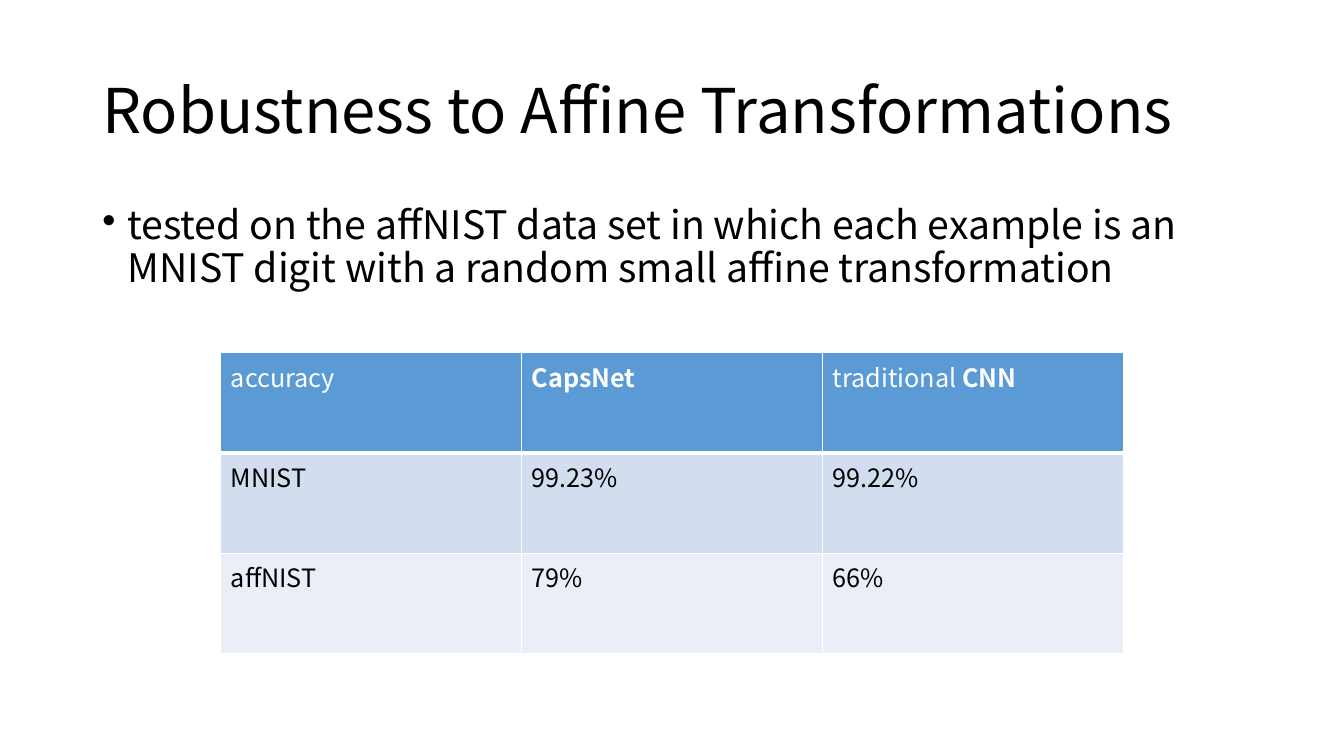
from dataclasses import dataclass

import pptx
import pptx.dml.color
import pptx.enum.text
import pptx.oxml
import pptx.oxml.ns
import pptx.util
from lxml import etree

Pt = pptx.util.Pt
RGB = pptx.dml.color.RGBColor
qn = pptx.oxml.ns.qn


@dataclass(frozen=True)
class Theme:
    font: str = "Noto Sans CJK SC"
    text: str = "000000"
    white: str = "FFFFFF"
    header: str = "5B9BD5"
    bands: tuple[str, ...] = ("D2DEEF", "EAEFF7")
    title_size: int = 44
    body_size: int = 28
    table_size: int = 18
    grid: int = 1
    header_rule: int = 3


@dataclass(frozen=True)
class TextBlock:
    text: str
    top: float
    height: float
    size: int
    anchor: pptx.enum.text.MSO_ANCHOR
    bullet: bool = False


@dataclass(frozen=True)
class Run:
    text: str
    bold: bool = False


THEME = Theme()
MARGIN, BLOCK_WIDTH, INDENT = 66, 828, 18
TABLE_LEFT, TABLE_TOP = 157.7, 252
COLUMN_WIDTH, ROW_HEIGHT = 215, 71.7

BLOCKS = (
    TextBlock("Robustness to Affine Transformations", 28.75, 104.4,
              THEME.title_size, pptx.enum.text.MSO_ANCHOR.MIDDLE),
    TextBlock("tested on the affNIST data set in which each example is an "
              "MNIST digit with a random small affine transformation",
              143.75, 342.6, THEME.body_size, pptx.enum.text.MSO_ANCHOR.TOP, True),
)

ACCURACY = (
    ((Run("accuracy"),), (Run("CapsNet", True),),
     (Run("traditional"), Run(" CNN", True))),
    ((Run("MNIST"),), (Run("99.23%"),), (Run("99.22%"),)),
    ((Run("affNIST"),), (Run("79%"),), (Run("66%"),)),
)


def style_font(p, size: int, color: str) -> None:
    p.font.name = THEME.font
    p.font.size = Pt(size)
    p.font.color.rgb = RGB.from_string(color)


def add_bullet(p) -> None:
    pPr = p._p.get_or_add_pPr()
    pPr.set("marL", str(Pt(INDENT)))
    pPr.set("indent", str(-Pt(INDENT)))
    bullet = etree.Element(qn("a:buChar"), char="•")
    pPr.find(qn("a:defRPr")).addprevious(bullet)


def add_text(s, block: TextBlock) -> None:
    sp = s.shapes.add_textbox(Pt(MARGIN), Pt(block.top), Pt(BLOCK_WIDTH), Pt(block.height))
    tf = sp.text_frame
    tf.word_wrap = True
    tf.auto_size = pptx.enum.text.MSO_AUTO_SIZE.TEXT_TO_FIT_SHAPE
    tf.vertical_anchor = block.anchor
    p = tf.paragraphs[0]
    p.add_run().text = block.text
    p.line_spacing = 0.9
    style_font(p, block.size, THEME.text)
    if block.bullet:
        p.space_before = Pt(10)
        add_bullet(p)


def add_borders(cell, widths: dict[str, int]) -> None:
    tcPr = cell._tc.get_or_add_tcPr()
    for i, (side, width) in enumerate(widths.items()):
        ln = etree.Element(qn(f"a:{side}"), w=str(Pt(width)))
        fill = etree.SubElement(ln, qn("a:solidFill"))
        etree.SubElement(fill, qn("a:srgbClr"), val=THEME.white)
        tcPr.insert(i, ln)


def fill_cell(cell, runs: tuple[Run, ...], row: int) -> None:
    is_header = row == 0
    color = THEME.header if is_header else THEME.bands[(row - 1) % len(THEME.bands)]
    cell.fill.solid()
    cell.fill.fore_color.rgb = RGB.from_string(color)
    p = cell.text_frame.paragraphs[0]
    for run in runs:
        r = p.add_run()
        r.text = run.text
        r.font.bold = run.bold
    style_font(p, THEME.table_size, THEME.white if is_header else THEME.text)
    add_borders(cell, {
        "lnL": THEME.grid,
        "lnR": THEME.grid,
        "lnT": THEME.header_rule if row == 1 else THEME.grid,
        "lnB": THEME.header_rule if is_header else THEME.grid,
    })


def add_accuracy_table(s) -> None:
    rows, columns = len(ACCURACY), len(ACCURACY[0])
    table = s.shapes.add_table(rows, columns, Pt(TABLE_LEFT), Pt(TABLE_TOP),
                               Pt(COLUMN_WIDTH * columns), Pt(ROW_HEIGHT * rows)).table
    for i, row in enumerate(ACCURACY):
        for j, runs in enumerate(row):
            fill_cell(table.cell(i, j), runs, i)


def main() -> None:
    prs = pptx.Presentation()
    prs.slide_width, prs.slide_height = Pt(960), Pt(540)
    s = prs.slides.add_slide(prs.slide_layouts[6])
    for block in BLOCKS:
        add_text(s, block)
    add_accuracy_table(s)
    prs.save("out.pptx")


if __name__ == "__main__":
    main()
